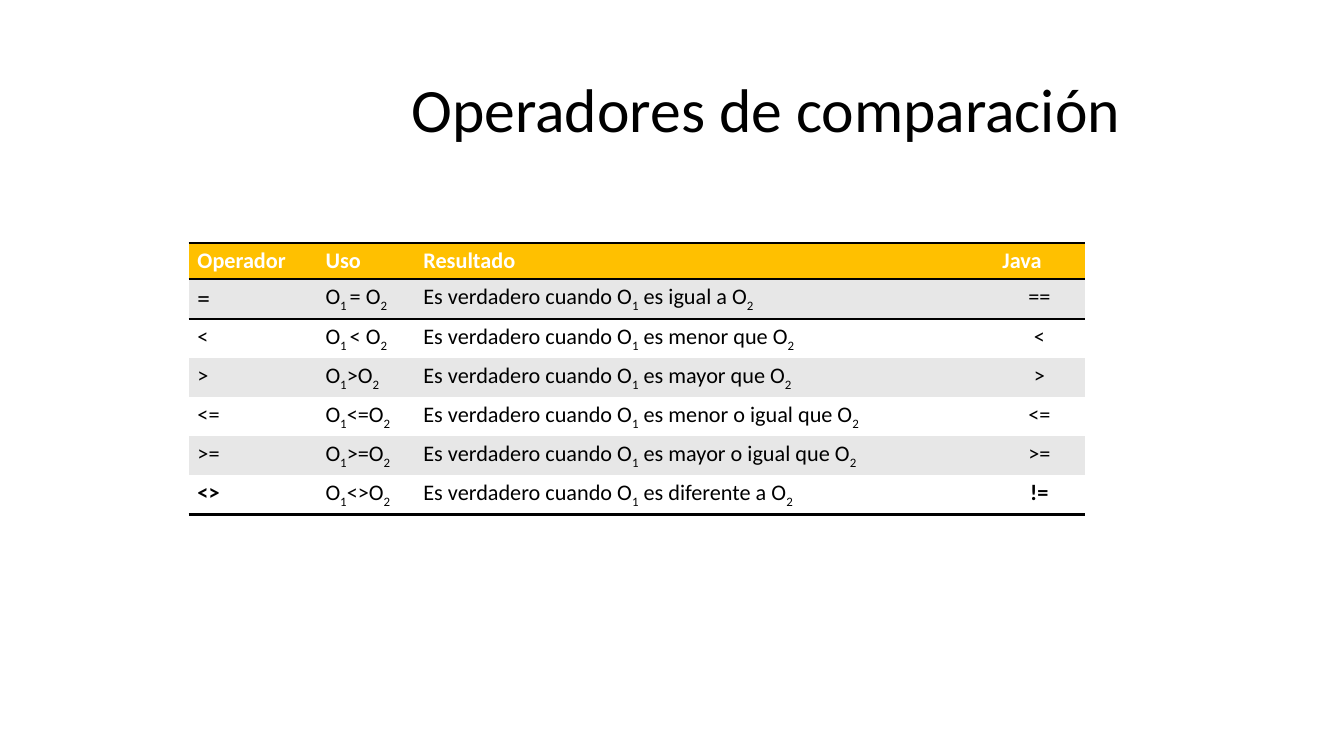
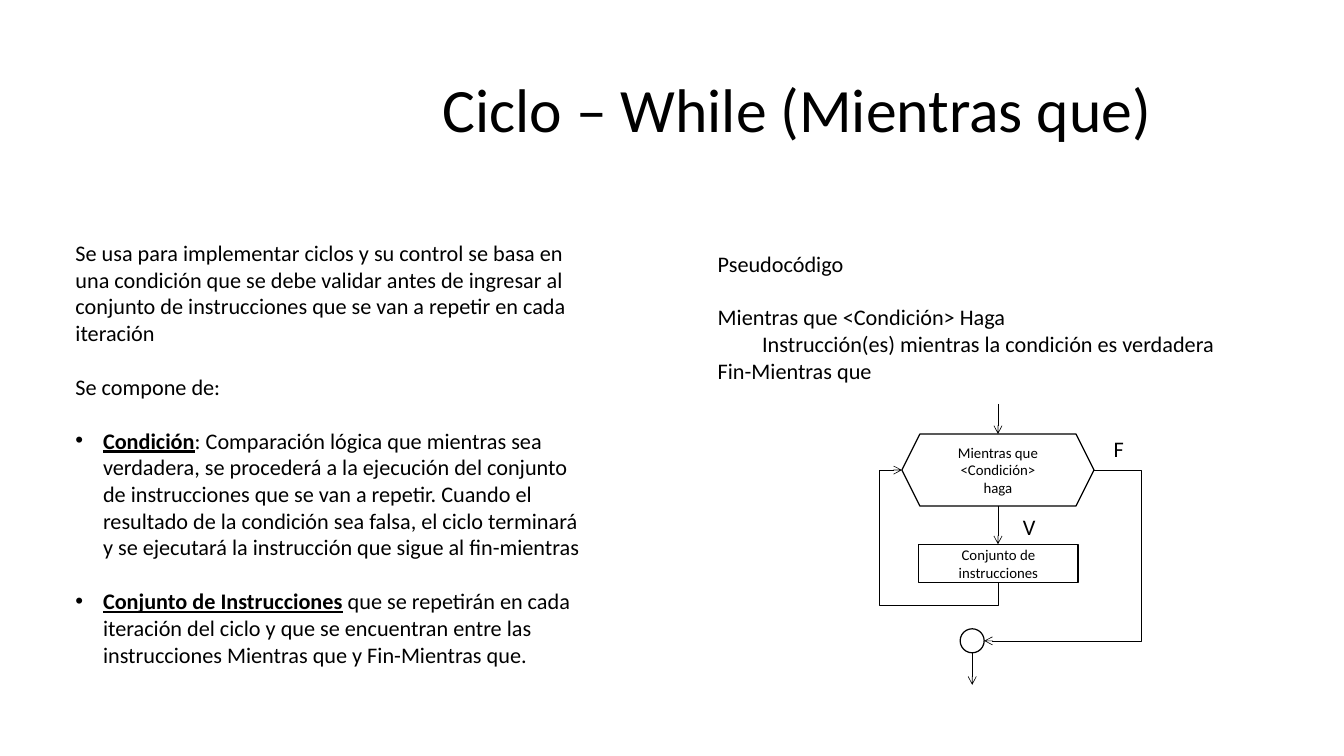
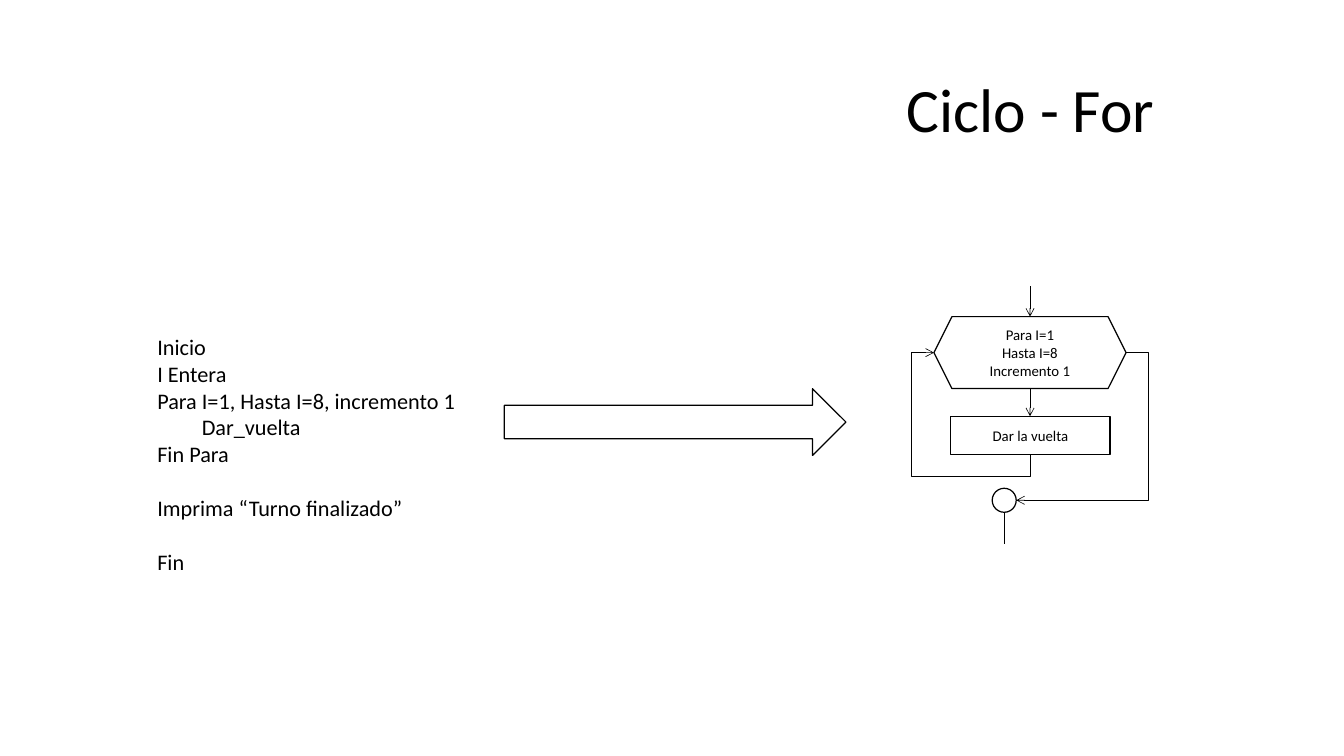
from dataclasses import dataclass

from lxml.etree import SubElement
from pptx import Presentation
from pptx.dml.color import RGBColor
from pptx.enum.shapes import MSO_CONNECTOR, MSO_SHAPE
from pptx.enum.text import MSO_ANCHOR, MSO_AUTO_SIZE, PP_ALIGN
from pptx.oxml.ns import qn
from pptx.util import Inches, Pt


@dataclass(frozen=True)
class Theme:
    font: str = "Calibri"
    ink: RGBColor = RGBColor(0, 0, 0)
    paper: RGBColor = RGBColor(255, 255, 255)
    gold: RGBColor = RGBColor(0xFF, 0xC0, 0x00)
    band: RGBColor = RGBColor(0xE7, 0xE7, 0xE7)
    title: float = 49.9
    body: float = 18
    sign: float = 20.4
    node: float = 12
    gap: float = 22
    edge: float = 1
    wire: float = 0.5
    rule: float = 2


@dataclass(frozen=True)
class Line:
    text: str
    lead: str = ""
    gap: bool = False
    bullet: bool = False
    indent: float = 0


THEME = Theme()
PLAIN_TABLE = "{2D5ABB26-0587-4C30-8999-92F81FD0307C}"

COLS = [1.44, 1.1, 6.51, 1.03]
HEADS = ["Operador", "Uso", "Resultado", "Java"]
# Parts between bars are subscripts
RULES = [
    ("=", "O|1 |= O|2", "igual a", "=="),
    ("<", "O|1 |< O|2", "menor que", "<"),
    (">", "O|1|>O|2", "mayor que", ">"),
    ("<=", "O|1|<=O|2", "menor o igual que", "<="),
    (">=", "O|1|>=O|2", "mayor o igual que", ">="),
    ("<>", "O|1|<>O|2", "diferente a", "!="),
]

WHILE_TEXT = [
    Line("Se usa para implementar ciclos y su control se basa en una condición "
         "que se debe validar antes de ingresar al conjunto de instrucciones "
         "que se van a repetir en cada iteración"),
    Line("Se compone de:", gap=True),
    Line(": Comparación lógica que mientras sea verdadera, se procederá a la "
         "ejecución del conjunto de instrucciones que se van a repetir. Cuando "
         "el resultado de la condición sea falsa, el ciclo terminará y se "
         "ejecutará la instrucción que sigue al fin-mientras",
         lead="Condición", gap=True, bullet=True, indent=0.31),
    Line(" que se repetirán en cada iteración del ciclo y que se encuentran "
         "entre las instrucciones Mientras que y Fin-Mientras que.",
         lead="Conjunto de Instrucciones", gap=True, bullet=True, indent=0.31),
]
WHILE_CODE = [
    Line("Pseudocódigo"),
    Line("Mientras que <Condición> Haga", gap=True),
    Line("Instrucción(es) mientras la condición es verdadera", indent=0.5),
    Line("Fin-Mientras que"),
]
FOR_CODE = [
    Line("Inicio"),
    Line("I Entera"),
    Line("Para I=1, Hasta I=8, incremento 1"),
    Line("Dar_vuelta", indent=0.5),
    Line("Fin Para"),
    Line("Imprima “Turno finalizado”", gap=True),
    Line("Fin", gap=True),
]


def style(run, size, color=THEME.ink, bold=False):
    font = run.font
    font.name, font.size, font.bold = THEME.font, Pt(size), bold
    font.color.rgb = color


def start(deck, title, width):
    """Add a slide with its right-aligned title."""
    slide = deck.slides.add_slide(deck.slide_layouts[5])
    box = slide.shapes.title
    box.left, box.top = Inches(1.04), Inches(0.45)
    box.width, box.height = Inches(width), Inches(1.64)
    frame = box.text_frame
    frame.text = title
    frame.auto_size = MSO_AUTO_SIZE.NONE
    frame.vertical_anchor = MSO_ANCHOR.MIDDLE
    para = frame.paragraphs[0]
    para.alignment, para.line_spacing = PP_ALIGN.RIGHT, 0.9
    style(para.runs[0], THEME.title)
    return slide


def prose(slide, x, y, w, h, lines, wrap=True):
    """Place a text box with plain, indented or bulleted lines."""
    frame = slide.shapes.add_textbox(
        Inches(x), Inches(y), Inches(w), Inches(h)).text_frame
    frame.word_wrap = wrap
    for i, line in enumerate(lines):
        para = frame.add_paragraph() if i else frame.paragraphs[0]
        props = para._p.get_or_add_pPr()
        if line.indent:
            props.set("marL", str(Inches(line.indent)))
        if line.bullet:
            props.set("indent", str(-Inches(line.indent)))
            SubElement(props, qn("a:buFont")).set("typeface", "Arial")
            SubElement(props, qn("a:buChar")).set("char", "•")
        if line.gap:
            para.space_before = Pt(THEME.gap)
        if line.lead:
            run = para.add_run()
            run.text = line.lead
            style(run, THEME.body, bold=True)
            run.font.underline = True
        run = para.add_run()
        run.text = line.text
        style(run, THEME.body)


def shape(slide, kind, x, y, w, h, text="", fill=None):
    """Place an outlined shape with centred text."""
    item = slide.shapes.add_shape(
        kind, Inches(x), Inches(y), Inches(w), Inches(h))
    item.shadow.inherit = False
    if fill is None:
        item.fill.background()
    else:
        item.fill.solid()
        item.fill.fore_color.rgb = fill
    item.line.color.rgb, item.line.width = THEME.ink, Pt(THEME.edge)
    if text:
        frame = item.text_frame
        frame.word_wrap = True
        frame.vertical_anchor = MSO_ANCHOR.MIDDLE
        frame.text = text
        for para in frame.paragraphs:
            para.alignment = PP_ALIGN.CENTER
            for run in para.runs:
                style(run, THEME.node)


def wire(slide, x1, y1, x2, y2, bends=(), turn=False, arrow=True):
    """Draw a straight line, or a bent one whose bends are box fractions."""
    kind = MSO_CONNECTOR.ELBOW if bends else MSO_CONNECTOR.STRAIGHT
    item = slide.shapes.add_connector(
        kind, Inches(x1), Inches(y1), Inches(x2), Inches(y2))
    item.line.color.rgb, item.line.width = THEME.ink, Pt(THEME.wire)
    props = item._element.spPr
    if bends:
        geom = props.find(qn("a:prstGeom"))
        geom.set("prst", f"bentConnector{len(bends) + 2}")
        guides = geom.find(qn("a:avLst"))
        if guides is None:
            guides = SubElement(geom, qn("a:avLst"))
        for i, bend in enumerate(bends, 1):
            guide = SubElement(guides, qn("a:gd"))
            guide.set("name", f"adj{i}")
            guide.set("fmla", f"val {round(bend * 100000)}")
    if turn:
        props.find(qn("a:xfrm")).set("rot", "5400000")
    if arrow:
        SubElement(props.find(qn("a:ln")), qn("a:tailEnd")).set("type", "arrow")
    SubElement(props, qn("a:effectLst"))


def back(slide, x1, y1, x2, y2, out):
    """Loop from below a step, round the left side, up to the test."""
    wide, high = y1 - y2, x1 - x2
    midx, midy = (x1 + x2) / 2, (y1 + y2) / 2
    # The box is laid on its side and turned a quarter
    wire(slide, midx + wide / 2, midy - high / 2,
         midx - wide / 2, midy + high / 2,
         bends=(-out / wide, 1 + out / high), turn=True)


def flow(slide, x, y, test, task, step, ring, side, arrow):
    """Draw a loop chart; step and ring are drops from the top of the test."""
    wide, high, tall, out = 2.16, 0.81, 0.43, 0.25
    mid, hub, size = x + wide / 2, x + 0.79, 0.27
    center = y + high / 2
    # Test, step and joining ring
    shape(slide, MSO_SHAPE.HEXAGON, x, y, wide, high, test)
    shape(slide, MSO_SHAPE.RECTANGLE, x + 0.19, y + step, 1.79, tall, task)
    shape(slide, MSO_SHAPE.OVAL, hub - size / 2, y + ring, size, size,
          fill=THEME.paper)
    # Way in, true branch and way out
    wire(slide, mid, y - 0.34, mid, y)
    wire(slide, mid, y + high, mid, y + step)
    wire(slide, hub, y + ring + size, hub, y + ring + 0.63, arrow=arrow)
    # Return branch and false branch
    back(slide, mid, y + step + tall, x, center, out)
    right, end = x + wide, hub + size / 2
    wire(slide, right, center, end, y + ring + size / 2,
         bends=(-side / (right - end),))


def border(cell, *sides):
    props = cell._tc.get_or_add_tcPr()
    for side in sides:
        line = SubElement(props, qn(f"a:ln{side}"))
        line.set("w", str(Pt(THEME.rule)))
        fill = SubElement(line, qn("a:solidFill"))
        SubElement(fill, qn("a:srgbClr")).set("val", str(THEME.ink))


def fill_cell(cell, text, size, color, back, bold):
    cell.fill.solid()
    cell.fill.fore_color.rgb = back
    para = cell.text_frame.paragraphs[0]
    for i, part in enumerate(text.split("|")):
        run = para.add_run()
        run.text = part
        style(run, size, color, bold)
        if i % 2:
            run._r.get_or_add_rPr().set("baseline", "-25000")
    return para


def grid(slide, x, y, w, h):
    """Place the table of operators."""
    rows = [HEADS] + [
        (sign, use, f"Es verdadero cuando O|1| es {what} O|2", java)
        for sign, use, what, java in RULES]
    table = slide.shapes.add_table(
        len(rows), len(COLS), Inches(x), Inches(y), Inches(w), Inches(h)).table
    table.first_row = table.horz_banding = False
    table._tbl.tblPr.find(qn("a:tableStyleId")).text = PLAIN_TABLE
    for col, width in zip(table.columns, COLS):
        col.width = Inches(width)
    last = len(rows) - 1
    for r, row in enumerate(rows):
        table.rows[r].height = Inches(0.41)
        for c, text in enumerate(row):
            cell = table.cell(r, c)
            if r == 0:
                border(cell, "T", "B")
                fill_cell(cell, text, THEME.body, THEME.paper, THEME.gold, True)
                continue
            if r == 1:
                border(cell, "T")
            if r == last:
                border(cell, "B")
            back = THEME.band if r % 2 else THEME.paper
            size = THEME.sign if text == "=" else THEME.body
            bold = r == last and c in (0, 3)
            para = fill_cell(cell, text, size, THEME.ink, back, bold)
            if c == 3:
                para.alignment = PP_ALIGN.CENTER


def compare(deck):
    slide = start(deck, "Operadores de comparación", 11.66)
    grid(slide, 2.12, 2.73, sum(COLS), 2.87)


def while_loop(deck):
    slide = start(deck, "Ciclo – While (Mientras que)", 12.01)
    prose(slide, 0.75, 2.64, 5.91, 5.25, WHILE_TEXT)
    prose(slide, 7.97, 2.76, 5.91, 2.22, WHILE_CODE)
    flow(slide, 10.14, 4.88, "Mientras que <Condición>\nhaga",
         "Conjunto de instrucciones", step=1.24, ring=2.19, side=0.53,
         arrow=True)
    # Branch labels
    prose(slide, 11.4, 5.72, 0.35, 0.4, [Line("V")], wrap=False)
    prose(slide, 12.42, 4.84, 0.32, 0.4, [Line("F")], wrap=False)


def for_loop(deck):
    slide = start(deck, "Ciclo - For", 12.04)
    prose(slide, 1.67, 3.7, 4.89, 3.44, FOR_CODE)
    shape(slide, MSO_SHAPE.RIGHT_ARROW, 5.67, 4.37, 3.84, 0.75)
    flow(slide, 10.5, 3.56, "Para I=1\nHasta I=8\nIncremento 1",
         "Dar la vuelta", step=1.12, ring=1.93, side=0.25, arrow=False)


def main():
    deck = Presentation()
    deck.slide_width, deck.slide_height = Inches(15.11), Inches(8.5)
    for build in (compare, while_loop, for_loop):
        build(deck)
    deck.save("out.pptx")


if __name__ == "__main__":
    main()
